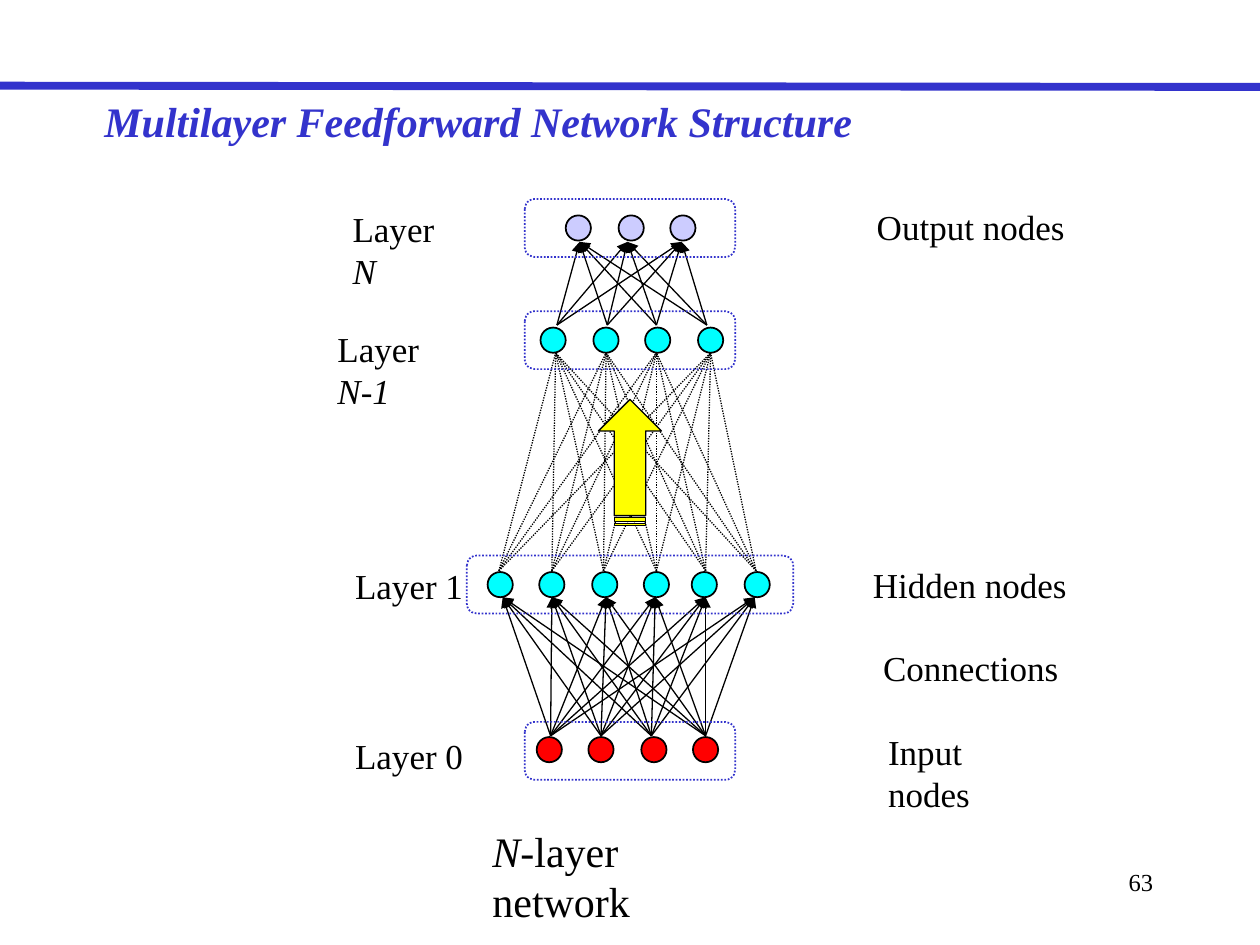
"""Build the multilayer feedforward network structure slide."""
from itertools import product

from lxml import etree
from pptx import Presentation
from pptx.dml import color
from pptx.enum import dml, shapes, text
from pptx.oxml import ns
from pptx.util import Inches, Pt


def rgb(value):
    return color.RGBColor.from_string(value)


def add_line(x1, y1, x2, y2, hue="000000", width=0.75, dash=None, arrow=False):
    c = s.shapes.add_connector(shapes.MSO_CONNECTOR.STRAIGHT,
                               Inches(x1), Inches(y1), Inches(x2), Inches(y2))
    c.line.color.rgb = rgb(hue)
    c.line.width = Pt(width)
    c.line.dash_style = dash
    if arrow:
        etree.SubElement(c.line._get_or_add_ln(), ns.qn("a:tailEnd"), type="triangle")
    etree.SubElement(c._element.spPr, ns.qn("a:effectLst"))


prs = Presentation()
prs.slide_width, prs.slide_height = Inches(10), Inches(7.5)
s = prs.slides.add_slide(prs.slide_layouts[6])
BLUE = "3333CC"
DOT = dml.MSO_LINE.ROUND_DOT

add_line(0, 0.68, 10, 0.69, hue=BLUE, width=4.5)

layers = [
    ("FF0000", 5.85, [4.26, 4.67, 5.09, 5.5]),
    ("00FFFF", 4.54, [3.87, 4.28, 4.7, 5.11, 5.49, 5.91]),
    ("00FFFF", 2.6, [4.29, 4.71, 5.12, 5.54]),
    ("CCCCFF", 1.71, [4.49, 4.91, 5.32]),
]
for fill, top, lefts in layers:
    for left in lefts:
        sp = s.shapes.add_shape(shapes.MSO_SHAPE.OVAL, Inches(left), Inches(top),
                                Inches(0.2), Inches(0.2))
        sp.shadow.inherit = False
        sp.fill.solid()
        sp.fill.fore_color.rgb = rgb(fill)
        sp.line.color.rgb = rgb("000000")
        sp.line.width = Pt(1)

links = [
    ([4.37, 4.77, 5.17, 5.6], 5.84, [3.99, 4.38, 4.81, 5.2, 5.6, 5.99], 4.74,
     {"arrow": True}),
    ([4.42, 4.82, 5.21, 5.61], 2.58, [4.6, 4.98, 5.41], 1.92, {"arrow": True}),
    ([3.96, 4.38, 4.79, 5.21, 5.6, 6], 4.53, [4.41, 4.81, 5.21, 5.64], 2.8,
     {"dash": DOT}),
]
for starts, y1, ends, y2, style in links:
    for x1, x2 in product(starts, ends):
        add_line(x1, y1, x2, y2, **style)

for top, width in [(1.58, 1.67), (2.47, 1.67), (4.41, 2.59), (5.73, 1.67)]:
    sp = s.shapes.add_shape(shapes.MSO_SHAPE.ROUNDED_RECTANGLE, Inches(5 - width / 2),
                            Inches(top), Inches(width), Inches(0.46))
    sp.adjustments[0] = 0.17
    sp.shadow.inherit = False
    sp.fill.background()
    sp.line.color.rgb = rgb(BLUE)
    sp.line.width = Pt(1)
    sp.line.dash_style = DOT

sp = s.shapes.add_shape(shapes.MSO_SHAPE.STRIPED_RIGHT_ARROW, Inches(4.5), Inches(3.42),
                        Inches(1), Inches(0.5))
sp.rotation = 270
sp.shadow.inherit = False
sp.fill.solid()
sp.fill.fore_color.rgb = rgb("FFFF00")
sp.line.color.rgb = rgb("000000")
sp.line.width = Pt(0.75)

label = {"size": Pt(20)}
variable = {"size": Pt(20), "italic": True}
heading = {"size": Pt(24), "bold": True, "italic": True}
captions = [
    (0.73, 0.71, 6.22, 0.5, BLUE, [("Multilayer Feedforward Network Structure", heading)]),
    (2.7, 1.6, 1.1, 0.44, "000000", [("Layer ", label), ("N", variable)]),
    (2.58, 2.55, 1.33, 0.44, "000000", [("Layer ", label), ("N-1", variable)]),
    (2.72, 4.43, 1.06, 0.44, "000000", [("Layer 1", label)]),
    (2.72, 5.78, 1.06, 0.44, "000000", [("Layer 0", label)]),
    (6.86, 1.58, 1.69, 0.44, "000000", [("Output nodes", label)]),
    (6.83, 4.42, 1.74, 0.44, "000000", [("Hidden nodes", label)]),
    (6.91, 5.08, 1.59, 0.44, "000000", [("Connections", label)]),
    (6.95, 5.75, 1.5, 0.44, "000000", [("Input nodes", label)]),
    (3.81, 6.5, 2.37, 0.5, "000000",
     [("N", {"size": Pt(24), "italic": True}), ("-layer network", {"size": Pt(24)})]),
    (7.17, 6.83, 2.08, 0.5, "000000", [("63", {"size": Pt(14)})]),
]
for left, top, width, height, hue, runs in captions:
    tf = s.shapes.add_textbox(Inches(left), Inches(top), Inches(width),
                              Inches(height)).text_frame
    tf.word_wrap = False
    tf.auto_size = text.MSO_AUTO_SIZE.SHAPE_TO_FIT_TEXT
    p = tf.paragraphs[0]
    for words, style in runs:
        r = p.add_run()
        r.text = words
        r.font.color.rgb = rgb(hue)
        for name, value in {"name": "Times New Roman", **style}.items():
            setattr(r.font, name, value)

tf.word_wrap = True
tf.auto_size = text.MSO_AUTO_SIZE.NONE
p.alignment = text.PP_ALIGN.RIGHT

prs.save("out.pptx")
